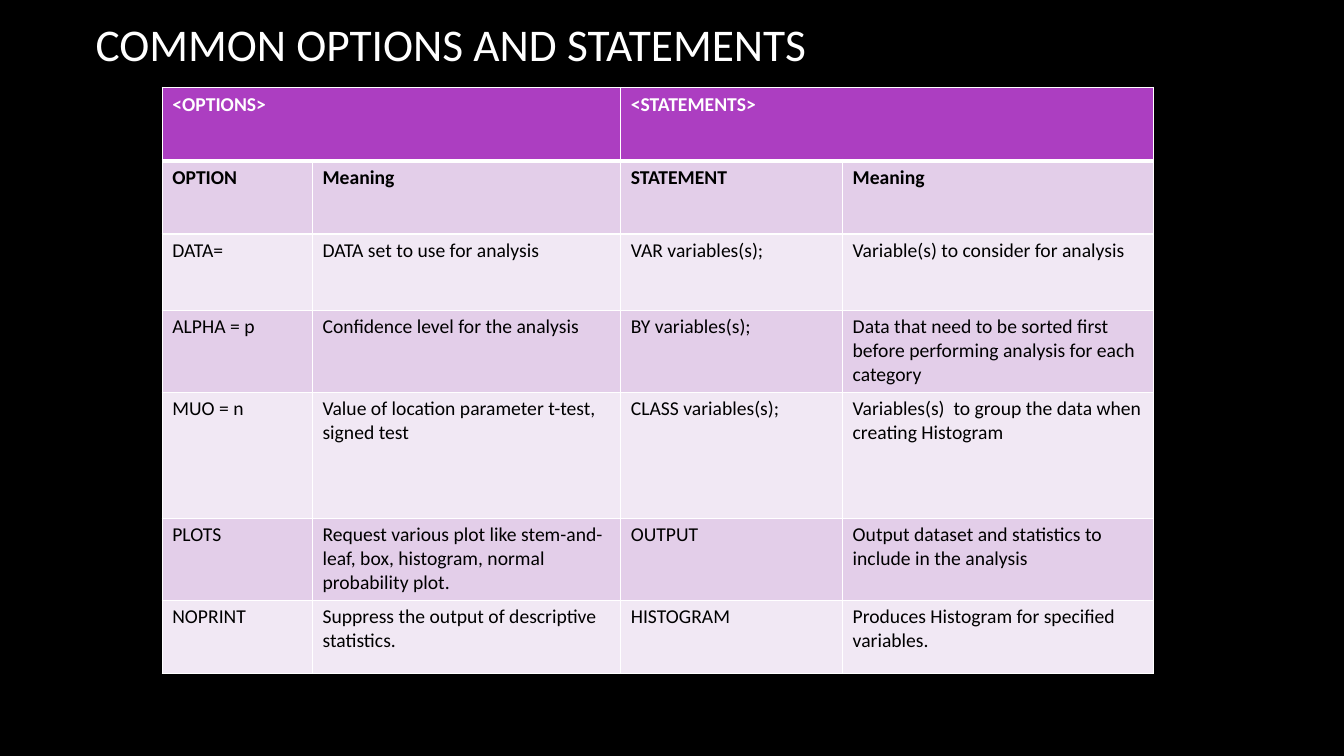
from lxml import etree
from pptx import Presentation
from pptx import util as u
from pptx.dml import color
from pptx.enum import text
from pptx.oxml import ns

FONT = "Calibri"
COLORS = {
    "background": "000000",
    "light_text": "FFFFFF",
    "dark_text": "000000",
    "border": "FFFFFF",
    "header": "AC3EC1",
    "band_dark": "E3CEE9",
    "band_light": "F1E8F4",
}
COLUMN_WIDTHS = [107.3, 220.2, 158.5, 221.9]
ROW_HEIGHTS = [52.4, 52.4, 54.4, 58.6, 90, 58.6, 52.4]
ROWS = [
    ["<OPTIONS>", "", "<STATEMENTS>", ""],
    ["OPTION", "Meaning", "STATEMENT", "Meaning"],
    ["DATA=", "DATA set to use for analysis",
     "VAR variables(s);", "Variable(s) to consider for analysis"],
    ["ALPHA = p", "Confidence level for the analysis",
     "BY variables(s);",
     "Data that need to be sorted first before performing analysis for each category"],
    ["MUO = n", "Value of location parameter t-test, signed test",
     "CLASS variables(s);", "Variables(s)  to group the data when creating Histogram"],
    ["PLOTS",
     "Request various plot like stem-and-leaf, box, histogram, normal probability plot.",
     "OUTPUT", "Output dataset and statistics to include in the analysis"],
    ["NOPRINT", "Suppress the output of descriptive statistics.",
     "HISTOGRAM", "Produces Histogram for specified variables."],
]


def rgb(name):
    return color.RGBColor.from_string(COLORS[name])


def write_text(frame, content, *, size, ink, bold=False):
    span = frame.paragraphs[0].add_run()
    span.text = content
    span.font.name = FONT
    span.font.size = u.Pt(size)
    span.font.bold = bold
    span.font.color.rgb = rgb(ink)


def add_title(slide, content):
    box = slide.shapes.add_textbox(u.Pt(61.2), u.Pt(11.5), u.Pt(790.6), u.Pt(38.9))
    frame = box.text_frame
    frame.word_wrap = True
    frame.vertical_anchor = text.MSO_ANCHOR.MIDDLE
    write_text(frame, content, size=32.4, ink="light_text")


def set_borders(cell, *, top=1, bottom=1):
    """Draw the four cell borders; call before the fill, which must follow them."""
    properties = cell._tc.get_or_add_tcPr()
    for side, width in (("L", 1), ("R", 1), ("T", top), ("B", bottom)):
        line = etree.SubElement(properties, ns.qn(f"a:ln{side}"), w=str(u.Pt(width)))
        fill = etree.SubElement(line, ns.qn("a:solidFill"))
        etree.SubElement(fill, ns.qn("a:srgbClr"), val=COLORS["border"])


def format_cell(cell, row, content):
    set_borders(cell, top=3 if row == 1 else 1, bottom=3 if row == 0 else 1)
    band = "band_dark" if row % 2 else "band_light"
    cell.fill.solid()
    cell.fill.fore_color.rgb = rgb("header" if row == 0 else band)
    if content:
        ink = "light_text" if row == 0 else "dark_text"
        write_text(cell.text_frame, content, size=14, ink=ink, bold=row < 2)


def add_options_table(slide):
    frame = slide.shapes.add_table(
        len(ROWS), len(COLUMN_WIDTHS), u.Pt(115.9), u.Pt(62.4),
        u.Pt(sum(COLUMN_WIDTHS)), u.Pt(sum(ROW_HEIGHTS)))
    table = frame.table
    for column, width in zip(table.columns, COLUMN_WIDTHS):
        column.width = u.Pt(width)
    for row, height in zip(table.rows, ROW_HEIGHTS):
        row.height = u.Pt(height)
    for first in (0, 2):
        table.cell(0, first).merge(table.cell(0, first + 1))
    for row, contents in enumerate(ROWS):
        for column, content in enumerate(contents):
            format_cell(table.cell(row, column), row, content)


def main():
    deck = Presentation()
    deck.slide_width, deck.slide_height = u.Pt(960), u.Pt(540)
    slide = deck.slides.add_slide(deck.slide_layouts[6])
    slide.background.fill.solid()
    slide.background.fill.fore_color.rgb = rgb("background")
    add_title(slide, "COMMON OPTIONS AND STATEMENTS")
    add_options_table(slide)
    deck.save("out.pptx")


if __name__ == "__main__":
    main()
